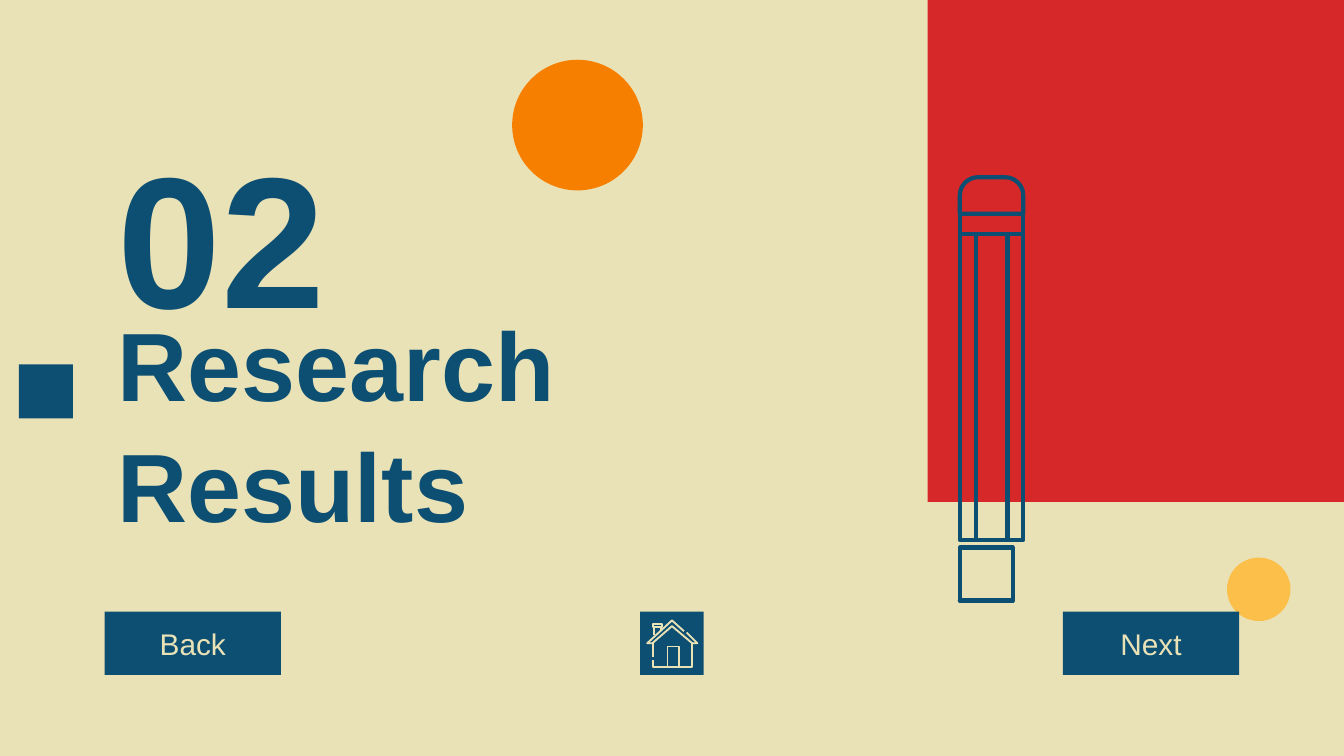
import pptx
import pptx.dml.color
import pptx.enum.shapes
import pptx.enum.text
import pptx.util

Cm = pptx.util.Cm
Pt = pptx.util.Pt
SHAPE = pptx.enum.shapes.MSO_SHAPE
ANCHOR = pptx.enum.text.MSO_ANCHOR
ALIGN = pptx.enum.text.PP_ALIGN

COLORS = {
    "navy": "0C4F72",
    "cream": "EAE2B7",
    "red": "D62828",
    "orange": "F77F00",
    "yellow": "FCBF49",
}
FONT = "Arial"
INSET = 0.25

# Strokes of the house, in hundredths of the icon's side
HOUSE_STROKES = [
    [(73, 33), (90, 50), (82, 50), (50, 23), (19, 50), (11, 50), (50, 14), (69, 31)],
    [(20, 50), (20, 71)],
    [(20, 77), (20, 88), (82, 88), (82, 50)],
    [(43, 88), (43, 55), (61, 55), (61, 88)],
    [(22, 37), (22, 24), (20, 24), (20, 20), (35, 20), (35, 24), (22, 24),
     (33, 24), (33, 29)],
]


def rgb(name):
    return pptx.dml.color.RGBColor.from_string(COLORS[name])


def paint(shape, fill=None, line=None, weight=2.25):
    shape.shadow.inherit = False
    if fill:
        shape.fill.solid()
        shape.fill.fore_color.rgb = rgb(fill)
    else:
        shape.fill.background()
    if line:
        shape.line.color.rgb = rgb(line)
        shape.line.width = Pt(weight)
    else:
        shape.line.fill.background()
    return shape


def add_block(slide, preset, left, top, width, height, fill=None, line=None):
    block = slide.shapes.add_shape(preset, Cm(left), Cm(top), Cm(width), Cm(height))
    return paint(block, fill, line)


def add_outline(slide, left, top, unit, strokes, closed):
    """Draw strokes given in multiples of unit (cm) from the corner left, top."""
    builder = slide.shapes.build_freeform(*strokes[0][0], scale=Cm(unit))
    for number, stroke in enumerate(strokes):
        if number:
            builder.move_to(*stroke[0])
        builder.add_line_segments(stroke[1:], close=closed)
    return builder.convert_to_shape(Cm(left), Cm(top))


def write(shape, text, size, color, bold=False, align=ALIGN.LEFT,
          anchor=ANCHOR.MIDDLE, top_inset=INSET, spacing=1.0):
    frame = shape.text_frame
    frame.word_wrap = True
    frame.vertical_anchor = anchor
    frame.margin_left = frame.margin_right = frame.margin_bottom = Cm(INSET)
    frame.margin_top = Cm(top_inset)
    paragraph = frame.paragraphs[0]
    paragraph.alignment = align
    paragraph.line_spacing = spacing
    run = paragraph.add_run()
    run.text = text
    run.font.name = FONT
    run.font.size = Pt(size)
    run.font.bold = bold
    run.font.color.rgb = rgb(color)


def add_heading(slide, left, top, width, height, text, size, **layout):
    heading = slide.shapes.add_textbox(Cm(left), Cm(top), Cm(width), Cm(height))
    write(heading, text, size, "navy", bold=True, **layout)


def add_pencil(slide, left, top, width, height):
    ferrule_top, body_top, cone_top, lead_top = 0.69, 1.07, 6.86, 7.75
    quarter = width / 4
    navy = "navy"

    for offset, span in ((0, 1), (1, 2), (3, 1)):
        add_block(slide, SHAPE.RECTANGLE, left + offset * quarter, top + body_top,
                  span * quarter, cone_top - body_top, line=navy)
    add_block(slide, SHAPE.RECTANGLE, left, top + ferrule_top,
              width, body_top - ferrule_top, line=navy)
    eraser = add_block(slide, SHAPE.ROUND_2_SAME_RECTANGLE, left, top,
                       width, ferrule_top, line=navy)
    eraser.adjustments[0] = 0.5

    # The lead continues the slope of the cone down to the point
    middle = width / 2
    half_lead = middle * (height - lead_top) / (height - cone_top)
    lead_left, lead_right = middle - half_lead, middle + half_lead
    cone = [(0, cone_top), (width, cone_top), (lead_right, lead_top),
            (lead_left, lead_top)]
    lead = [(lead_left, lead_top), (lead_right, lead_top), (middle, height)]
    paint(add_outline(slide, left, top, 1, [cone], True), line=navy)
    paint(add_outline(slide, left, top, 1, [lead], True), fill=navy, line=navy)


def add_nav_button(slide, left, top, width, height, label):
    button = add_block(slide, SHAPE.RECTANGLE, left, top, width, height, "navy")
    write(button, label, 16, "cream", align=ALIGN.CENTER)


def add_home_button(slide, left, top, side):
    add_block(slide, SHAPE.RECTANGLE, left, top, side, side, "navy")
    house = add_outline(slide, left, top, side / 100, HOUSE_STROKES, False)
    paint(house, line="cream", weight=1)


def add_navigation(slide, left, top, width, height):
    button_width = 3.33
    add_nav_button(slide, left, top, button_width, height, "Back")
    add_home_button(slide, left + (width - height) / 2, top, height)
    add_nav_button(slide, left + width - button_width, top, button_width, height, "Next")


def build_section_slide(presentation):
    slide = presentation.slides.add_slide(presentation.slide_layouts[6])
    slide.background.fill.solid()
    slide.background.fill.fore_color.rgb = rgb("cream")

    add_heading(slide, 1.98, 5.99, 11.28, 3.78, "Research Results", 52,
                top_inset=0.4, spacing=1.04)
    add_heading(slide, 1.98, 1.73, 13.06, 3.94, "02", 100,
                anchor=ANCHOR.TOP, top_inset=0.57)
    add_block(slide, SHAPE.RECTANGLE, 17.53, 0, 7.87, 9.49, "red")
    add_pencil(slide, 18.14, 3.35, 1.2, 8.1)
    add_block(slide, SHAPE.RECTANGLE, 0.36, 6.89, 1.02, 1.02, "navy")
    add_block(slide, SHAPE.OVAL, 9.68, 1.13, 2.47, 2.47, "orange")
    add_block(slide, SHAPE.OVAL, 23.19, 10.54, 1.2, 1.2, "yellow")
    add_navigation(slide, 1.98, 11.56, 21.44, 1.2)


def main():
    presentation = pptx.Presentation()
    presentation.slide_width = Cm(25.4)
    presentation.slide_height = Cm(14.29)
    build_section_slide(presentation)
    presentation.save("out.pptx")


if __name__ == "__main__":
    main()
